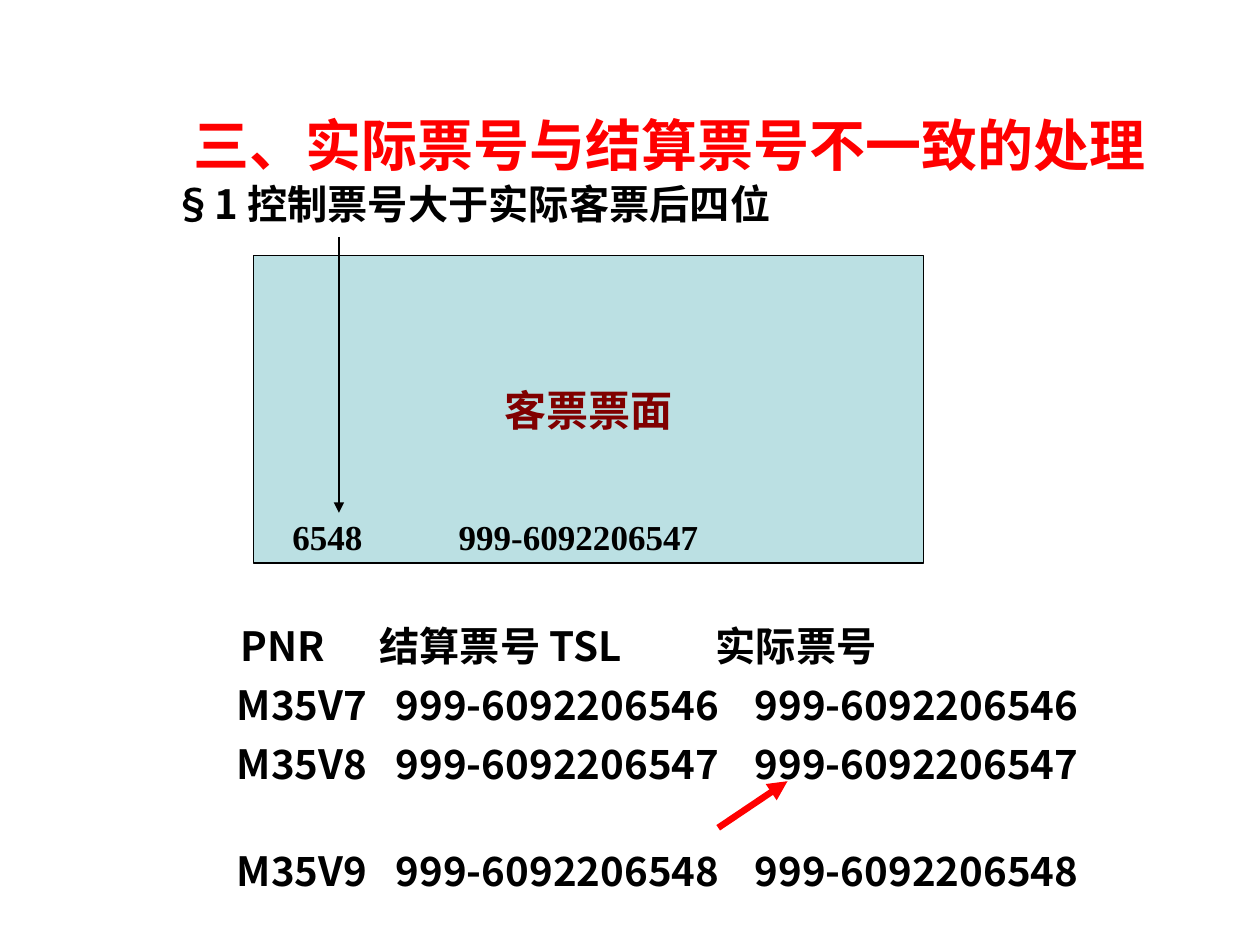
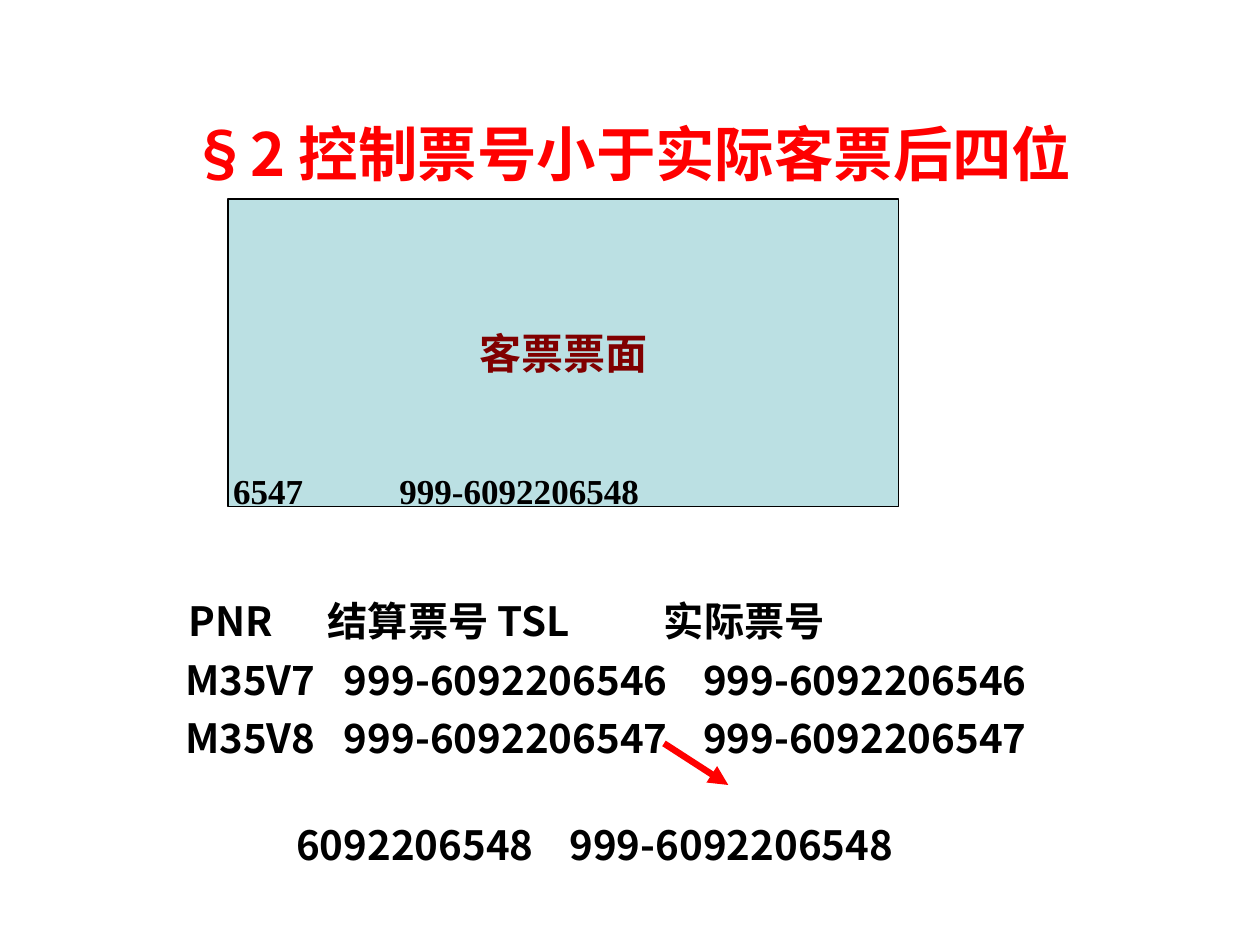
"""Build two slides on ticket numbers that differ from settlement numbers."""
from dataclasses import dataclass

from lxml import etree
from pptx import Presentation
from pptx.dml.color import RGBColor
from pptx.enum.shapes import MSO_CONNECTOR, MSO_SHAPE
from pptx.enum.text import MSO_ANCHOR, PP_ALIGN
from pptx.oxml.ns import qn
from pptx.util import Inches, Pt

RECT, STRAIGHT = MSO_SHAPE.RECTANGLE, MSO_CONNECTOR.STRAIGHT
MIDDLE, TOP = MSO_ANCHOR.MIDDLE, MSO_ANCHOR.TOP
CENTER, LEFT = PP_ALIGN.CENTER, PP_ALIGN.LEFT


@dataclass(frozen=True)
class Theme:
    """Colours, fonts and type sizes."""
    red: str = "FF0000"
    black: str = "000000"
    maroon: str = "800000"
    ticket: str = "BBE0E3"
    cjk: str = "Noto Sans CJK SC"
    face: str = "Lato"
    serif: str = "Times New Roman"
    face_size: float = 24
    number_size: float = 20
    body_size: float = 23
    body_line: float = 27.6
    row_gap: float = 6
    last_gap: float = 33.5


T = Theme()

FACE_LABEL = "客票票面"
FACE_SIZE = (5.32, 2.44)
NUMBER_TABS = (1.32,)
HEAD_TABS = (0.09, 1.19, 3.86)
ROW_TABS = (0.06, 1.32, 4.17)
SHORT_TABS = (0.94, 3.11)
COMMON_ROWS = [
    (HEAD_TABS, ("PNR", "结算票号 TSL", "实际票号")),
    (ROW_TABS, ("M35V7", "999-6092206546", "999-6092206546")),
    (ROW_TABS, ("M35V8", "999-6092206547", "999-6092206547")),
]

SLIDES = [
    dict(
        title="三、实际票号与结算票号不一致的处理",
        title_box=(0.63, 0.82, 9.37, 0.65), title_size=32,
        subtitle="§1 控制票号大于实际客票后四位", subtitle_at=(1.38, 1.42),
        face_at=(2.01, 2.03),
        numbers=("6548", "999-6092206547"), numbers_at=(2.32, 4.09),
        rows_at=(1.82, 4.93),
        last_row=(ROW_TABS, ("M35V9", "999-6092206548", "999-6092206548")),
        arrows=[((2.69, 1.88), (2.69, 4.07), T.black, 0.75),
                ((5.7, 6.57), (6.25, 6.2), T.red, 3.75)],
    ),
    dict(
        title="§2 控制票号小于实际客票后四位",
        title_box=(0.51, 0.82, 9, 0.79), title_size=34,
        subtitle=None, subtitle_at=None,
        face_at=(1.81, 1.58),
        numbers=("6547", "999-6092206548"), numbers_at=(1.85, 3.73),
        rows_at=(1.41, 4.73),
        last_row=(SHORT_TABS, ("6092206548", "999-6092206548")),
        arrows=[((5.27, 5.9), (5.78, 6.23), T.red, 3.75)],
    ),
]


def add_run(p, text, size, color, font):
    r = p.add_run()
    r.text = text
    r.font.size, r.font.bold, r.font.name = Pt(size), True, font
    r.font.color.rgb = RGBColor.from_string(color)
    etree.SubElement(r.font._element, qn("a:ea"), typeface=T.cjk)


def add_tabs(p, stops):
    tabs = etree.SubElement(p._p.get_or_add_pPr(), qn("a:tabLst"))
    for stop in stops:
        etree.SubElement(tabs, qn("a:tab"), pos=str(Inches(stop)), algn="l")


def add_box(s, left, top, width, height, anchor=TOP):
    tf = s.shapes.add_textbox(*map(Inches, (left, top, width, height))).text_frame
    tf.word_wrap, tf.vertical_anchor = True, anchor
    tf.margin_left = tf.margin_right = tf.margin_top = tf.margin_bottom = 0
    return tf


def add_title(s, text, box, size):
    p = add_box(s, *box, anchor=MIDDLE).paragraphs[0]
    p.alignment = CENTER
    add_run(p, text, size, T.red, T.cjk)


def add_subtitle(s, text, at):
    p = add_box(s, *at, 8.3, 0.45).paragraphs[0]
    p.alignment, p.line_spacing = LEFT, Pt(T.body_line)
    add_run(p, text, T.body_size, T.black, T.cjk)


def add_face(s, at):
    sp = s.shapes.add_shape(RECT, *map(Inches, at + FACE_SIZE))
    sp.shadow.inherit = False
    sp.fill.solid()
    sp.fill.fore_color.rgb = RGBColor.from_string(T.ticket)
    sp.line.color.rgb = RGBColor.from_string(T.black)
    sp.line.width = Pt(0.75)
    tf = sp.text_frame
    tf.word_wrap, tf.vertical_anchor = False, MIDDLE
    p = tf.paragraphs[0]
    p.alignment = CENTER
    add_run(p, FACE_LABEL, T.face_size, T.maroon, T.face)


def add_numbers(s, numbers, at):
    p = add_box(s, *at, 3.7, 0.35).paragraphs[0]
    add_tabs(p, NUMBER_TABS)
    add_run(p, "\t".join(numbers), T.number_size, T.black, T.serif)


def add_rows(s, rows, at):
    tf = add_box(s, *at, 7.2, 2.1)
    for i, (stops, cells) in enumerate(rows):
        p = tf.add_paragraph() if i else tf.paragraphs[0]
        add_tabs(p, stops)
        p.line_spacing = Pt(T.body_line)
        if i:
            p.space_before = Pt(T.last_gap if i == len(rows) - 1 else T.row_gap)
        for cell in cells:
            add_run(p, "\t" + cell, T.body_size, T.black, T.cjk)


def add_arrow(s, start, end, color, width):
    c = s.shapes.add_connector(STRAIGHT, *map(Inches, start + end))
    c.line.color.rgb = RGBColor.from_string(color)
    c.line.width = Pt(width)
    etree.SubElement(c.line._get_or_add_ln(), qn("a:tailEnd"), type="triangle")
    etree.SubElement(c._element.spPr, qn("a:effectLst"))


def build_slide(prs, d):
    s = prs.slides.add_slide(prs.slide_layouts[6])
    add_title(s, d["title"], d["title_box"], d["title_size"])
    if d["subtitle"]:
        add_subtitle(s, d["subtitle"], d["subtitle_at"])
    add_face(s, d["face_at"])
    add_numbers(s, d["numbers"], d["numbers_at"])
    add_rows(s, COMMON_ROWS + [d["last_row"]], d["rows_at"])
    for arrow in d["arrows"]:
        add_arrow(s, *arrow)


def main():
    prs = Presentation()
    prs.slide_width, prs.slide_height = Inches(10), Inches(7.5)
    for d in SLIDES:
        build_slide(prs, d)
    prs.save("out.pptx")


if __name__ == "__main__":
    main()
